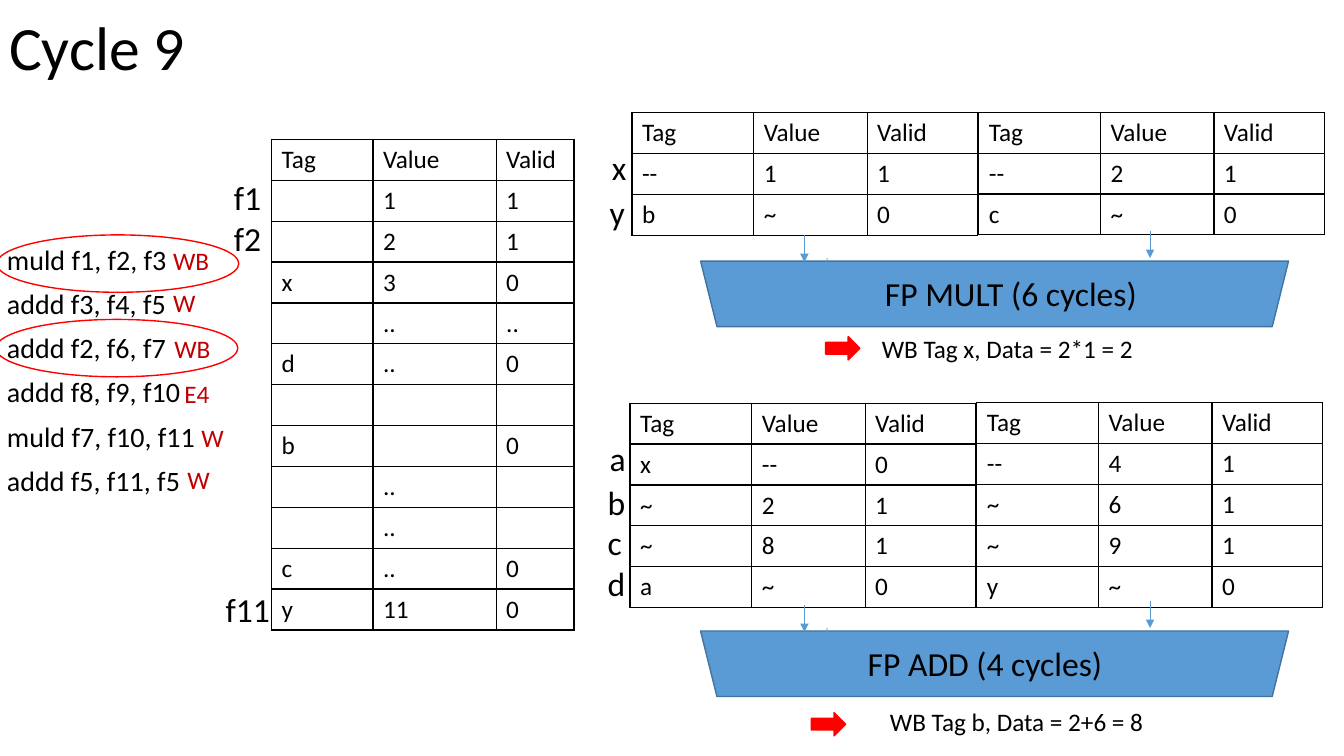
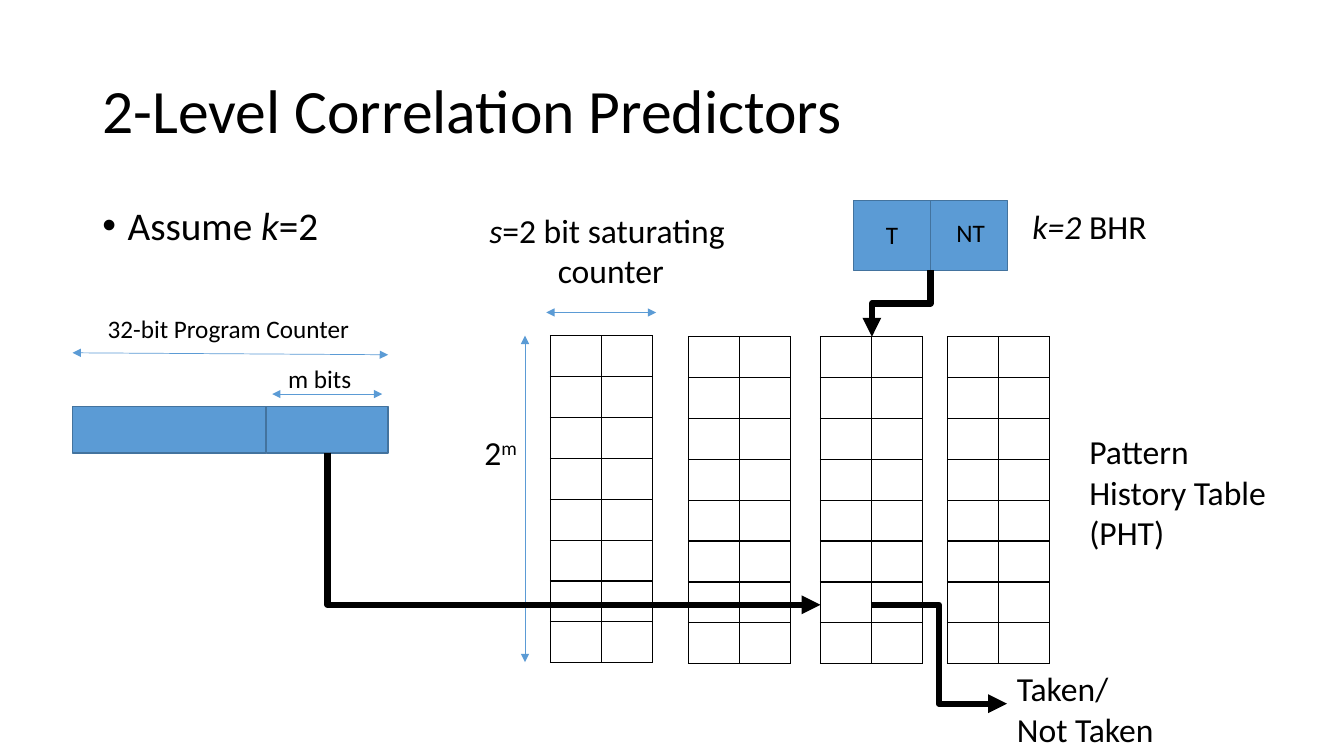
from pptx import Presentation
from pptx.dml.color import RGBColor
from pptx.enum.shapes import MSO_CONNECTOR, MSO_SHAPE
from pptx.enum.text import MSO_ANCHOR, MSO_AUTO_SIZE, PP_ALIGN
from pptx.oxml.ns import qn
from pptx.util import Pt
from lxml.etree import SubElement

FONT = "Calibri"
BLACK, BLUE, NAVY = "000000", "5B9BD5", "43739E"
RED, DARK_RED = "FF0000", "C00000"
ROW_H = 29.2
STATION_COLS = (87, 81, 79)
STATION_HEAD = "Tag|Value|Valid"


def rgb(value):
    """Turn a hex string into a colour."""
    return RGBColor.from_string(value)


def add_run(p, text, size, color=BLACK, italic=False):
    """Add one formatted run to a paragraph."""
    r = p.add_run()
    r.text = text
    r.font.name = FONT
    r.font.size = Pt(size)
    r.font.italic = italic
    r.font.color.rgb = rgb(color)


def place(sp, left, top, width, height):
    """Move and size a shape."""
    sp.left, sp.top, sp.width, sp.height = Pt(left), Pt(top), Pt(width), Pt(height)


def add_slide(prs, title, left, top):
    """Add a slide with a title and return it."""
    s = prs.slides.add_slide(prs.slide_layouts[1])
    sp = s.shapes.title
    place(sp, left, top, 828, 104)
    tf = sp.text_frame
    tf.vertical_anchor = MSO_ANCHOR.MIDDLE
    tf.auto_size = MSO_AUTO_SIZE.NONE
    p = tf.paragraphs[0]
    p.alignment = PP_ALIGN.LEFT
    p.line_spacing = 0.9
    add_run(p, title, 44)
    return s


def add_body(s, left, top, paragraphs, size, bullet=False):
    """Fill the body placeholder; a paragraph is a list of (text, italic)."""
    sp = s.placeholders[1]
    place(sp, left, top, 828, 343)
    tf = sp.text_frame
    tf.auto_size = MSO_AUTO_SIZE.NONE
    for i, runs in enumerate(paragraphs):
        p = tf.add_paragraph() if i else tf.paragraphs[0]
        p.line_spacing = 0.9
        p.space_before = Pt(10)
        pPr = p._p.get_or_add_pPr()
        indent = Pt(18) if bullet else 0
        pPr.set("marL", str(indent))
        pPr.set("indent", str(-indent))
        if bullet:
            SubElement(pPr, qn("a:buFont")).set("typeface", "Arial")
            SubElement(pPr, qn("a:buChar")).set("char", "•")
        else:
            SubElement(pPr, qn("a:buNone"))
        for text, italic in runs:
            add_run(p, text, size, italic=italic)


def add_label(s, left, top, width, lines, size=24, color=BLACK, wrap=False,
              align=PP_ALIGN.LEFT):
    """Add a text box; a line is a string or a list of (text, italic)."""
    lines = [lines] if isinstance(lines, str) else lines
    height = 7.2 + 1.2 * size * len(lines)
    tf = s.shapes.add_textbox(Pt(left), Pt(top), Pt(width), Pt(height)).text_frame
    tf.word_wrap = wrap
    tf.auto_size = MSO_AUTO_SIZE.SHAPE_TO_FIT_TEXT
    for i, line in enumerate(lines):
        p = tf.add_paragraph() if i else tf.paragraphs[0]
        p.alignment = align
        for text, italic in [(line, False)] if isinstance(line, str) else line:
            add_run(p, text, size, color, italic)
    return tf


def add_shape(s, kind, left, top, width, height, fill=BLUE, line=NAVY):
    """Add a preset shape, hollow when fill is None."""
    sp = s.shapes.add_shape(kind, Pt(left), Pt(top), Pt(width), Pt(height))
    sp.shadow.inherit = False
    if fill:
        sp.fill.solid()
        sp.fill.fore_color.rgb = rgb(fill)
    else:
        sp.fill.background()
    sp.line.color.rgb = rgb(line)
    sp.line.width = Pt(1)
    return sp


def style_line(c, color, width, both=False):
    """Set a connector's line, arrowheads and empty effect list."""
    c.line.color.rgb = rgb(color)
    c.line.width = Pt(width)
    spPr = c._element.spPr
    ln = spPr.find(qn("a:ln"))
    for end in ("a:headEnd", "a:tailEnd") if both else ("a:tailEnd",):
        SubElement(ln, qn(end)).set("type", "triangle")
    SubElement(spPr, qn("a:effectLst"))


def add_arrow(s, x1, y1, x2, y2, both=False):
    """Add a thin straight arrow."""
    c = s.shapes.add_connector(MSO_CONNECTOR.STRAIGHT, Pt(x1), Pt(y1), Pt(x2), Pt(y2))
    style_line(c, BLUE, 0.5, both)


def add_elbow(s, x1, y1, x2, y2, turn=0, flip=False, preset="bentConnector3"):
    """Add a thick bent arrow, its box turned about its centre."""
    width, height = abs(x2 - x1), abs(y2 - y1)
    if turn % 180:
        width, height = height, width
    left, top = (x1 + x2 - width) / 2, (y1 + y2 - height) / 2
    start, end = (left + width, left) if flip else (left, left + width)
    c = s.shapes.add_connector(MSO_CONNECTOR.ELBOW, Pt(start), Pt(top),
                               Pt(end), Pt(top + height))
    spPr = c._element.spPr
    spPr.find(qn("a:xfrm")).set("rot", str(turn * 60000))
    spPr.find(qn("a:prstGeom")).set("prst", preset)
    style_line(c, BLACK, 4.5)


def add_grid(s, left, top, cols, rows):
    """Add a bordered table; a row is a string with | between cells."""
    frame = s.shapes.add_table(len(rows), len(cols), Pt(left), Pt(top),
                               Pt(sum(cols)), Pt(ROW_H * len(rows)))
    table = frame.table
    table.first_row = table.horz_banding = False
    for column, width in zip(table.columns, cols):
        column.width = Pt(width)
    for i, row in enumerate(rows):
        table.rows[i].height = Pt(ROW_H)
        for j, text in enumerate(row.split("|")):
            cell = table.cell(i, j)
            tcPr = cell._tc.get_or_add_tcPr()
            for side in ("a:lnL", "a:lnR", "a:lnT", "a:lnB"):
                ln = SubElement(tcPr, qn(side), w=str(Pt(1)))
                fill = SubElement(ln, qn("a:solidFill"))
                SubElement(fill, qn("a:srgbClr")).set("val", BLACK)
            cell.fill.background()
            if text:
                add_run(cell.text_frame.paragraphs[0], text, 18)


def add_unit(s, top, name, name_left, name_width):
    """Add a functional unit with its input arrows."""
    sp = add_shape(s, MSO_SHAPE.TRAPEZOID, 500.4, top, 420, 46.8)
    sp.rotation = 180
    add_arrow(s, 821.5, top - 21.6, 821.5, top - 2.2)
    add_arrow(s, 591, top - 2.2, 587, top + 12)
    add_arrow(s, 574.6, top - 18.7, 574.6, top + 0.7)
    add_label(s, name_left, top + 5, name_width, name)


def build_cycle(prs):
    """Build the slide on the state in cycle 9."""
    s = add_slide(prs, "Cycle 9", -0.7, -16)
    stations = (
        (450, 288, ("x|--|0", "~|2|1", "~|8|1", "a|~|0")),
        (697.7, 287.7, ("--|4|1", "~|6|1", "~|9|1", "y|~|0")),
        (451.4, 80.6, ("--|1|1", "b|~|0")),
        (699.1, 80.2, ("--|2|1", "c|~|0")),
    )
    for left, top, rows in stations:
        add_grid(s, left, top, STATION_COLS, (STATION_HEAD, *rows))
    add_unit(s, 186.5, "FP MULT (6 cycles)", 625, 196)
    add_unit(s, 450.7, "FP ADD (4 cycles)", 612.7, 184)
    registers = ("|1|1", "|2|1", "x|3|0", "|..|..", "d|..|0", "||", "b||0",
                 "|..|", "|..|", "c|..|0", "y|11|0")
    add_grid(s, 194, 99.6, (72.4, 88, 55.6), (STATION_HEAD, *registers))
    row_names = (
        ("a", 428.4, 309.6), ("b", 427, 340.6), ("c", 427, 369.4), ("d", 427, 398.2),
        ("x", 430, 101.5), ("y", 428.4, 133.2),
        ("f1", 160, 123), ("f2", 160, 152), ("f11", 154, 417),
    )
    for name, left, top in row_names:
        add_label(s, left, top, 17 if len(name) == 1 else 60, name, wrap=True)
    code = ("muld f1, f2, f3", "addd f3, f4, f5", "addd f2, f6, f7",
            "addd f8, f9, f10", "muld f7, f10, f11", "addd f5, f11, f5")
    add_body(s, -2.2, 172, [[(line, False)] for line in code], 20)
    stages = (("WB", 116.6, 171.4), ("W", 116.6, 201.6), ("WB", 117.4, 234.7),
              ("E4", 124.6, 267), ("W", 136.8, 298), ("W", 126.7, 328.3))
    for stage, left, top in stages:
        add_label(s, left, top, 44, stage, 18, DARK_RED, wrap=True)
    add_label(s, 622.8, 234.7, 196, "WB Tag x, Data = 2*1 = 2", 18)
    add_label(s, 628.6, 501, 198, "WB Tag b, Data = 2+6 = 8", 18)
    for left, top in ((589.7, 240.5), (579.6, 509)):
        add_shape(s, MSO_SHAPE.RIGHT_ARROW, left, top, 24.5, 16.6, RED, RED)
    for left, top in ((-2.2, 167.8), (-2.9, 228.2)):
        add_shape(s, MSO_SHAPE.OVAL, left, top, 172.8, 41, None, RED)


def build_predictor(prs):
    """Build the slide on two-level predictors."""
    s = add_slide(prs, "2-Level Correlation Predictors", 66, 28.8)
    add_body(s, 66, 144, [[("Assume ", False), ("k", True), ("=2", False)]], 28, True)
    for left, top in ((393.1, 239.8), (491.8, 240.5), (586.1, 240.5), (676.8, 240.5)):
        add_grid(s, left, top, (36.5, 36.5), ["|"] * 8)
    boxes = ((51.8, 290.2, 138.4, 33.4), (190.2, 290.2, 87, 33.4),
             (609.8, 143.3, 55, 50), (664.8, 143.3, 55, 50))
    for box in boxes:
        add_shape(s, MSO_SHAPE.RECTANGLE, *box)
    small_labels = ((69.8, 220.3, 189, "32-bit Program Counter"),
                    (198.7, 256.3, 60, "m bits"),
                    (625.7, 153.4, 23, "T"), (676, 152, 35, "NT"))
    for left, top, width, text in small_labels:
        add_label(s, left, top, width, text, 18)
    spans = ((51.8, 252, 277.2, 253.4), (194.4, 281.5, 273, 281.5),
             (375, 239.8, 375, 473), (390.2, 223.2, 468.7, 223.2))
    for span in spans:
        add_arrow(s, *span, both=True)
    add_elbow(s, 234, 323.3, 586.1, 432, 270, True, "bentConnector2")
    add_elbow(s, 664.6, 193, 622.8, 240.5, 90)
    add_elbow(s, 622, 432, 719.3, 502.6)
    tf = add_label(s, 339, 305.3, 45, [[("2", False), ("m ", False)]])
    tf.paragraphs[0].runs[1].font._element.set("baseline", "30000")
    add_label(s, 341.3, 146.2, 190,
              [[("s", True), ("=2 bit saturating ", False)], "counter"],
              align=PP_ALIGN.CENTER)
    add_label(s, 719.3, 473.8, 113, ["Taken/", "Not Taken"])
    add_label(s, 730, 143.3, 96.5, [[("k=2 ", True), ("BHR", False)]],
              align=PP_ALIGN.CENTER)
    add_label(s, 771, 304.6, 144.7, "Pattern History Table (PHT)", wrap=True)


def main():
    """Build and save the presentation."""
    prs = Presentation()
    prs.slide_width, prs.slide_height = Pt(960), Pt(540)
    build_cycle(prs)
    build_predictor(prs)
    prs.save("out.pptx")


main()
